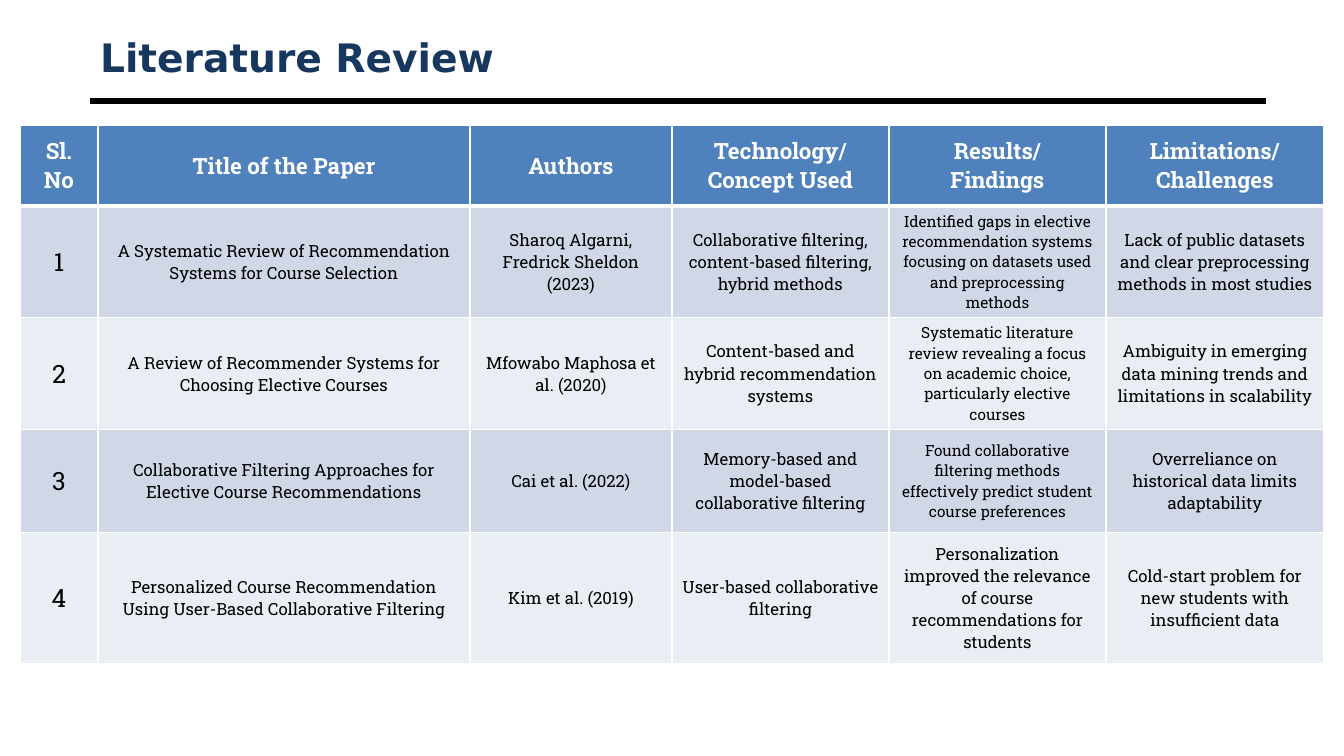
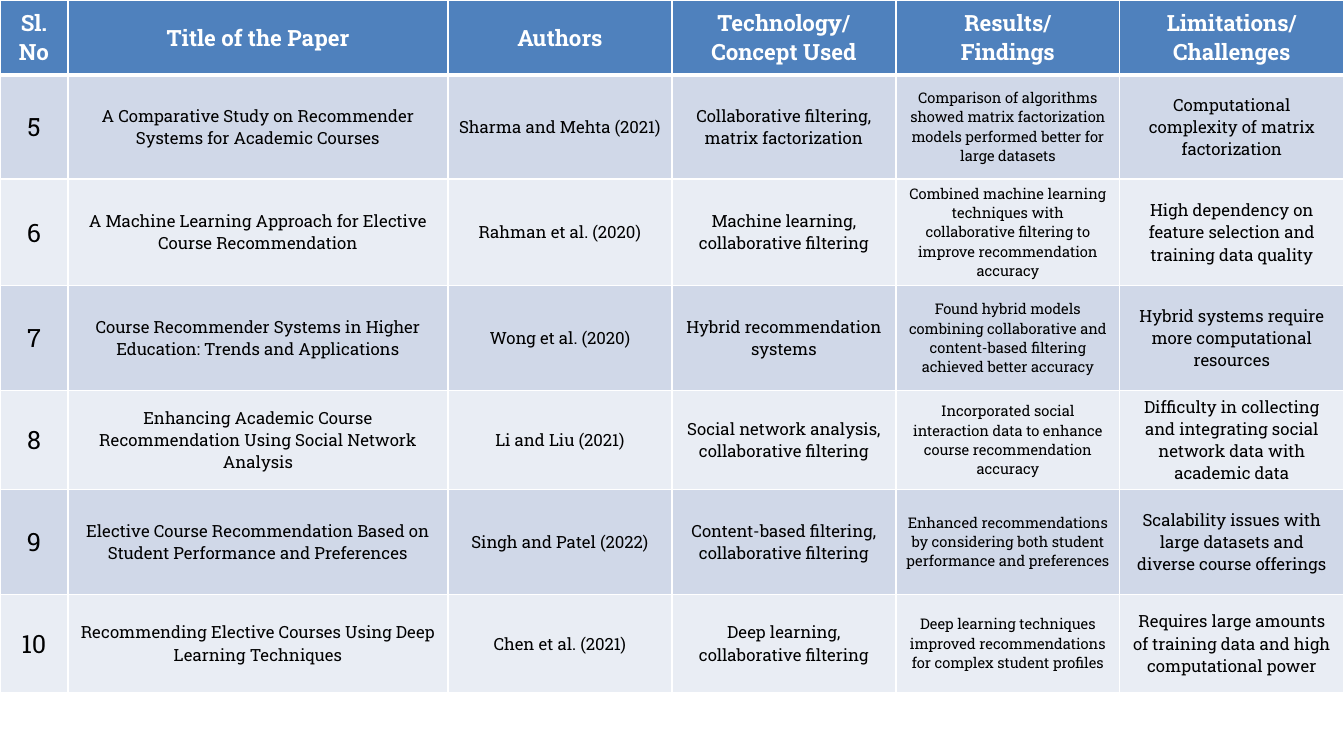
import pptx
import pptx.dml.color
import pptx.enum.shapes
import pptx.enum.text
import pptx.oxml
import pptx.oxml.ns
import pptx.util

PX = 12192000 / 1344
WIDTH, HEIGHT = 1344, 756

HEADINGS = ["Sl. No", "Title of the Paper", "Authors", "Technology/\nConcept Used",
            "Results/\nFindings", "Limitations/\nChallenges"]

EARLIER_PAPERS = [
    ("1", "A Systematic Review of Recommendation Systems for Course Selection",
     "Sharoq Algarni, Fredrick Sheldon (2023)",
     "Collaborative filtering, content-based filtering, hybrid methods",
     "Identified gaps in elective recommendation systems focusing on datasets used "
     "and preprocessing methods",
     "Lack of public datasets and clear preprocessing methods in most studies"),
    ("2", "A Review of Recommender Systems for Choosing Elective Courses",
     "Mfowabo Maphosa et al. (2020)",
     "Content-based and hybrid recommendation systems",
     "Systematic literature review revealing a focus on academic choice, "
     "particularly elective courses",
     "Ambiguity in emerging data mining trends and limitations in scalability"),
    ("3", "Collaborative Filtering Approaches for Elective Course Recommendations",
     "Cai et al. (2022)",
     "Memory-based and model-based collaborative filtering",
     "Found collaborative filtering methods effectively predict student course preferences",
     "Overreliance on historical data limits adaptability"),
    ("4", "Personalized Course Recommendation Using User-Based Collaborative Filtering",
     "Kim et al. (2019)",
     "User-based collaborative filtering",
     "Personalization improved the relevance of course recommendations for students",
     "Cold-start problem for new students with insufficient data"),
]

LATER_PAPERS = [
    ("5", "A Comparative Study on Recommender Systems for Academic Courses",
     "Sharma and Mehta (2021)",
     "Collaborative filtering, matrix factorization",
     "Comparison of algorithms showed matrix factorization models performed better "
     "for large datasets",
     "Computational complexity of matrix factorization"),
    ("6", "A Machine Learning Approach for Elective Course Recommendation",
     "Rahman et al. (2020)",
     "Machine learning, collaborative filtering",
     "Combined machine learning techniques with collaborative filtering to improve "
     "recommendation accuracy",
     "High dependency on feature selection and training data quality"),
    ("7", "Course Recommender Systems in Higher Education: Trends and Applications",
     "Wong et al. (2020)",
     "Hybrid recommendation systems",
     "Found hybrid models combining collaborative and content-based filtering "
     "achieved better accuracy",
     "Hybrid systems require more computational resources"),
    ("8", "Enhancing Academic Course Recommendation Using Social Network Analysis",
     "Li and Liu (2021)",
     "Social network analysis, collaborative filtering",
     "Incorporated social interaction data to enhance course recommendation accuracy",
     "Difficulty in collecting and integrating social network data with academic data"),
    ("9", "Elective Course Recommendation Based on Student Performance and Preferences",
     "Singh and Patel (2022)",
     "Content-based filtering, collaborative filtering",
     "Enhanced recommendations by considering both student performance and preferences",
     "Scalability issues with large datasets and diverse course offerings"),
    ("10", "Recommending Elective Courses Using Deep Learning Techniques",
     "Chen et al. (2021)",
     "Deep learning, collaborative filtering",
     "Deep learning techniques improved recommendations for complex student profiles",
     "Requires large amounts of training data and high computational power"),
]


def px(n):
    return pptx.util.Emu(round(n * PX))


def rgb(value):
    return pptx.dml.color.RGBColor.from_string(value)


class Deck:
    """Holds the shared style and the slide being built."""

    TITLE_FONT, TABLE_FONT = "DejaVu Sans", "Roboto Slab"
    NAVY, BLACK, WHITE = "17375E", "000000", "FFFFFF"
    HEADER, BANDS = "4F81BD", ("D0D8E8", "E9EDF4")
    TITLE_ONLY, BLANK = 5, 6

    def __init__(self):
        self.prs = pptx.Presentation()
        self.prs.slide_width, self.prs.slide_height = px(WIDTH), px(HEIGHT)

    def slide(self, layout):
        self.s = self.prs.slides.add_slide(self.prs.slide_layouts[layout])

    def run(self, p, text, font, size, color, bold=False):
        r = p.add_run()
        r.text = text
        r.font.name, r.font.size, r.font.bold = font, pptx.util.Pt(size), bold
        r.font.color.rgb = rgb(color)

    def title(self, text):
        sp = self.s.shapes.title
        sp.left, sp.top, sp.width, sp.height = px(90), px(30), px(1176), px(54)
        tf = sp.text_frame
        tf.word_wrap = True
        tf.vertical_anchor = pptx.enum.text.MSO_ANCHOR.MIDDLE
        p = tf.paragraphs[0]
        p.alignment = pptx.enum.text.PP_ALIGN.LEFT
        self.run(p, text, self.TITLE_FONT, 28, self.NAVY, True)

    def master_rule(self, left, right, y):
        """Draw a rule on the current slide and move it to the slide master."""
        line = self.s.shapes.add_connector(
            pptx.enum.shapes.MSO_CONNECTOR.STRAIGHT, px(left), px(y), px(right), px(y))
        line.line.color.rgb = rgb(self.BLACK)
        line.line.width = pptx.util.Pt(4.5)
        line._element.spPr.append(pptx.oxml.parse_xml(
            f"<a:effectLst {pptx.oxml.ns.nsdecls('a')}/>"))
        master = self.prs.slide_master
        line._element.nvCxnSpPr.cNvPr.set(
            "id", str(max(sp.shape_id for sp in master.shapes) + 1))
        master.shapes._spTree.append(line._element)

    def borders(self, cell, top, bottom):
        """Draw white cell borders; top and bottom are widths in points."""
        tcPr = cell._tc.get_or_add_tcPr()
        for side, width in (("L", 1), ("R", 1), ("T", top), ("B", bottom)):
            tcPr.append(pptx.oxml.parse_xml(
                f"<a:ln{side} {pptx.oxml.ns.nsdecls('a')} w='{pptx.util.Pt(width)}'>"
                f"<a:solidFill><a:srgbClr val='{self.WHITE}'/></a:solidFill></a:ln{side}>"))

    def cell(self, cell, text, fill, size, color, bold):
        cell.fill.solid()
        cell.fill.fore_color.rgb = rgb(fill)
        cell.vertical_anchor = pptx.enum.text.MSO_ANCHOR.MIDDLE
        tf = cell.text_frame
        for i, line in enumerate(text.split("\n")):
            p = tf.add_paragraph() if i else tf.paragraphs[0]
            p.alignment = pptx.enum.text.PP_ALIGN.CENTER
            self.run(p, line, self.TABLE_FONT, size, color, bold)

    def table(self, left, top, widths, heights, papers, findings_size, large_findings=()):
        """Add a review table; papers in large_findings keep 12 pt findings."""
        rows = [HEADINGS, *papers]
        table = self.s.shapes.add_table(
            len(rows), len(widths), px(left), px(top),
            px(sum(widths)), px(sum(heights))).table
        table.first_row = table.horz_banding = False
        for column, width in zip(table.columns, widths):
            column.width = px(width)
        for i, (row, height) in enumerate(zip(rows, heights)):
            table.rows[i].height = px(height)
            findings = 12 if row[0] in large_findings else findings_size
            sizes = (18, 12, 12, 12, findings, 12)
            for j, text in enumerate(row):
                cell = table.cell(i, j)
                self.borders(cell, 3 if i == 1 else 1, 1 if i else 3)
                if i:
                    self.cell(cell, text, self.BANDS[(i - 1) % 2], sizes[j], self.BLACK, False)
                else:
                    self.cell(cell, text, self.HEADER, 16, self.WHITE, True)


def main():
    deck = Deck()

    deck.slide(deck.TITLE_ONLY)
    deck.master_rule(90, 1266, 101)
    deck.title("Literature Review")
    deck.table(20, 125, [78, 372, 202, 217, 217, 218], [81, 108, 108, 103, 131],
               EARLIER_PAPERS, 11, large_findings=("4",))

    deck.slide(deck.BLANK)
    deck.table(0, 0, [68, 380] + [224] * 4, [75, 104, 105, 105, 97, 105, 98],
               LATER_PAPERS, 10.5)

    deck.prs.save("out.pptx")


if __name__ == "__main__":
    main()
